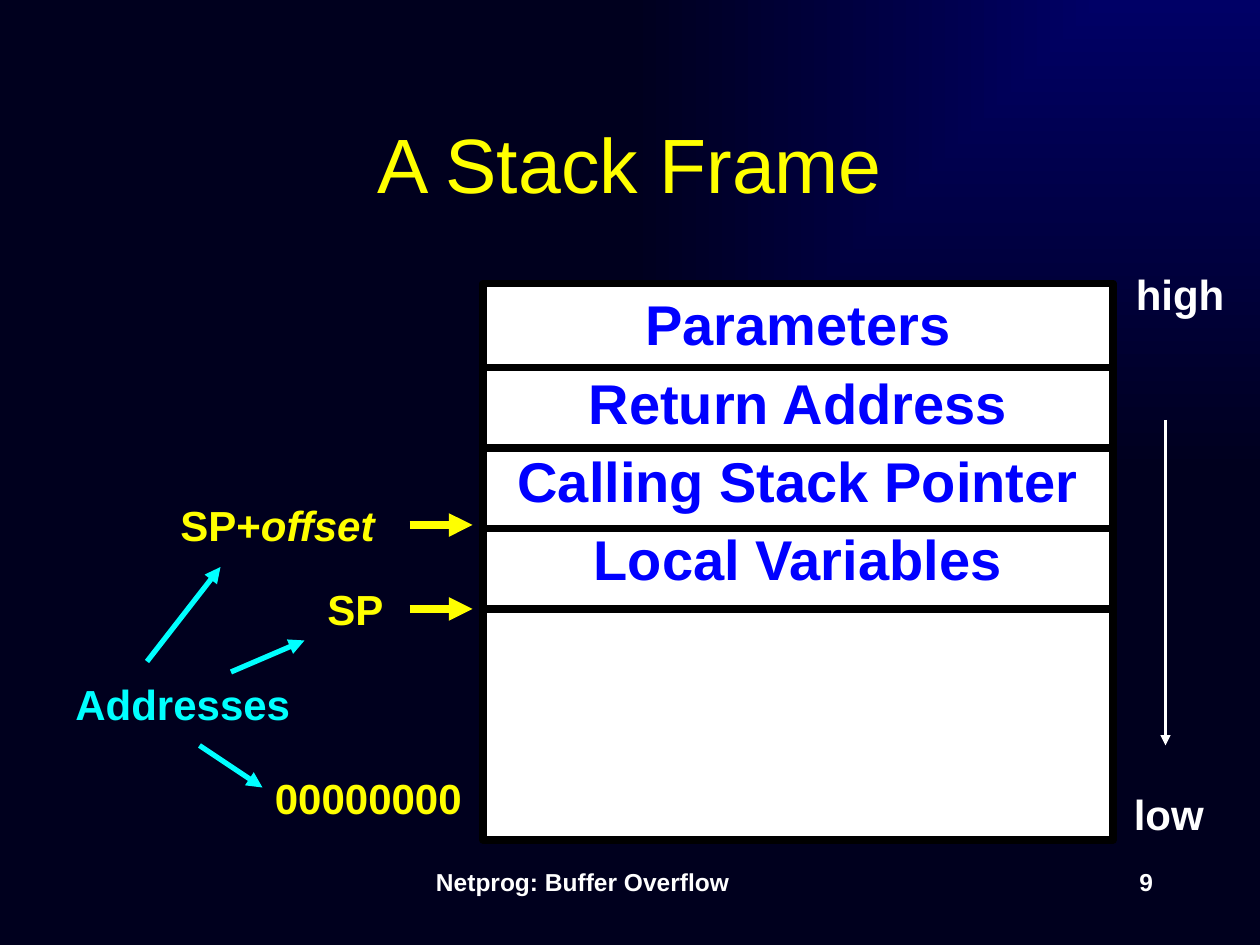
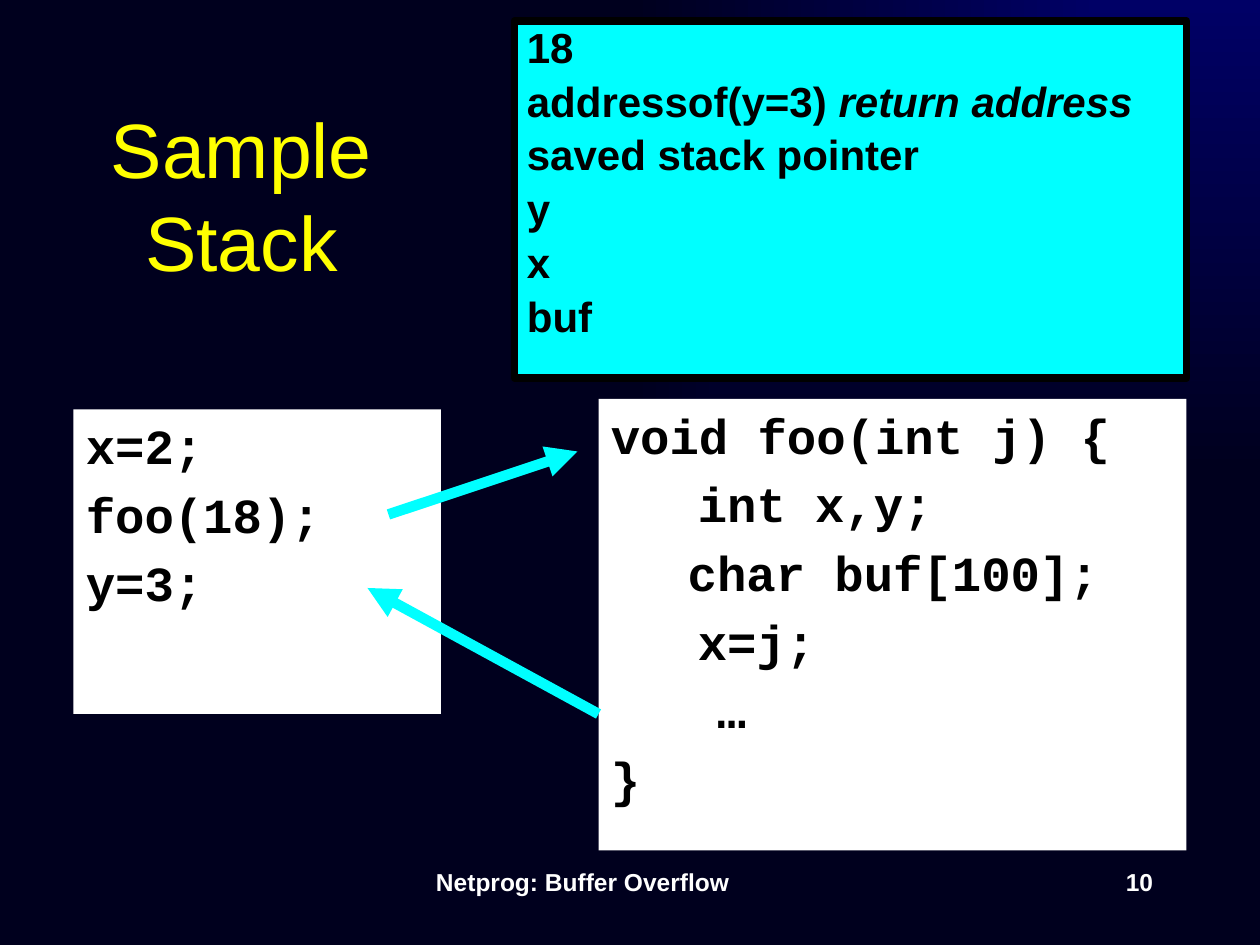
import pptx
import pptx.util
import pptx.dml.color
import pptx.enum.dml
import pptx.enum.shapes
import pptx.enum.text
import pptx.oxml
import pptx.oxml.ns
import lxml.etree

COLORS = {"glow": "000066", "night": "00001E", "white": "FFFFFF", "black": "000000",
          "yellow": "FFFF00", "cyan": "00FFFF", "blue": "0000FF"}
COLS, ROWS = 120, 90
CELL = pptx.util.Inches(10) / COLS
HANG = 0.38
CHAR = 0.23
ALIGN = pptx.enum.text.PP_ALIGN
ANCHOR = pptx.enum.text.MSO_ANCHOR

FOOTER = "Netprog: Buffer Overflow"
FOOTER_BOX, NUMBER_BOX = (25, 82, 61, 6), (86, 82, 25, 6)

FRAME_BOX = (46, 27, 60, 53)
FRAME_PARTS = ["Parameters", "Return Address", "Calling Stack Pointer", "Local Variables"]
FIRST_DIVIDER, LAST_DIVIDER = 35, 58
FRAME_LABELS = [
    ((25, 73, 20.2, 6), [("00000000", False)], "yellow"),
    ((6, 64, 22.9, 6), [("Addresses", False)], "cyan"),
    ((30, 55, 7.8, 6), [("SP", False)], "yellow"),
    ((16, 47, 21, 6), [("SP+", False), ("offset", True)], "yellow"),
    ((106.8, 74.5, 9.1, 6), [("low", False)], "white"),
    ((107, 25, 10.8, 6), [("high", False)], "white"),
]
FRAME_ARROWS = [
    ((39, 58), (45, 58), "yellow", 4.5),
    ((39, 50), (45, 50), "yellow", 4.5),
    ((22, 64), (29, 61), "cyan", 3),
    ((19, 71), (25, 75), "cyan", 3),
    ((14, 63), (21, 54), "cyan", 3),
    ((111, 40), (111, 71), "white", 1.5),
]

STACK_BOX = (49, 2, 64, 34)
STACK_ROWS = [[("18", False)],
              [("addressof(y=3) ", False), ("return address", True)],
              [("saved stack pointer", False)],
              [("y", False)], [("x", False)], [("buf", False)]]
CODE_BLOCKS = [
    ((7, 39, 35, 29), [("x=2;", 0), ("foo(18);", 0), ("y=3;", 0)]),
    ((57, 38, 56, 43), [("void foo(int j) {", 0), ("int x,y;", 3 * CHAR),
                        ("char buf[100];", HANG + CHAR), ("x=j;", 3 * CHAR),
                        ("…", HANG + 2 * CHAR), ("}", 0)]),
]
CALL_ARROWS = [((37, 49), (55, 43), "cyan", 6), ((57, 68), (35, 56), "cyan", 6)]


def rgb(name):
    return pptx.dml.color.RGBColor.from_string(COLORS[name])


def cells(*counts):
    return [round(n * CELL) for n in counts]


def child(parent, tag, **attrs):
    return lxml.etree.SubElement(parent, pptx.oxml.ns.qn(tag), attrs)


def add_runs(p, runs, size, color, bold=True, font="Arial"):
    for text, italic in runs:
        r = p.add_run()
        r.text = text
        r.font.name, r.font.size = font, pptx.util.Pt(size)
        r.font.bold, r.font.italic = bold, italic
        r.font.color.rgb = rgb(color)


def add_text(s, box, runs, size, color, align=ALIGN.LEFT, wrap=True):
    sp = s.shapes.add_textbox(*cells(*box))
    tf = sp.text_frame
    tf.word_wrap = wrap
    if not wrap:
        tf.auto_size = pptx.enum.text.MSO_AUTO_SIZE.SHAPE_TO_FIT_TEXT
    tf.paragraphs[0].alignment = align
    add_runs(tf.paragraphs[0], runs, size, color)


def add_title(s, box, lines):
    sp = s.shapes.add_textbox(*cells(*box))
    tf = sp.text_frame
    tf.word_wrap, tf.vertical_anchor = True, ANCHOR.MIDDLE
    p = tf.paragraphs[0]
    p.alignment = ALIGN.CENTER
    for i, line in enumerate(lines):
        if i:
            p.add_line_break()
        add_runs(p, [(line, False)], 44, "yellow", bold=False)


def add_panel(s, box, fill, outlined, paragraphs, size, color, font="Arial",
              align=ALIGN.LEFT, spacing=None):
    sp = s.shapes.add_shape(pptx.enum.shapes.MSO_SHAPE.RECTANGLE, *cells(*box))
    sp.shadow.inherit = False
    sp.fill.solid()
    sp.fill.fore_color.rgb = rgb(fill)
    if outlined:
        sp.line.color.rgb, sp.line.width = rgb("black"), pptx.util.Pt(4.5)
    else:
        sp.line.fill.background()
    tf = sp.text_frame
    tf.word_wrap, tf.vertical_anchor = True, ANCHOR.TOP
    for i, (runs, indent) in enumerate(paragraphs):
        p = tf.add_paragraph() if i else tf.paragraphs[0]
        p.alignment, p.line_spacing = align, spacing
        pPr = p._p.get_or_add_pPr()
        pPr.set("marL", str(pptx.util.Inches(indent or HANG)))
        pPr.set("indent", str(0 if indent else pptx.util.Inches(-HANG)))
        child(child(pPr, "a:spcBef"), "a:spcPct", val="20000")
        add_runs(p, runs, size, color, font=font)


def add_line(s, start, end, color, width, arrow=True):
    c = s.shapes.add_connector(pptx.enum.shapes.MSO_CONNECTOR.STRAIGHT, *cells(*start, *end))
    c.line.color.rgb, c.line.width = rgb(color), pptx.util.Pt(width)
    if arrow:
        child(c.line._get_or_add_ln(), "a:tailEnd", type="triangle")
    child(c._element.spPr, "a:effectLst")


def new_slide(prs, number):
    s = prs.slides.add_slide(prs.slide_layouts[6])
    fill = s.background.fill
    fill.gradient()
    for stop, position, name in zip(fill.gradient_stops, (0, 1), ("glow", "night")):
        stop.position, stop.color.rgb = position, rgb(name)
    lin = s._element.find(".//" + pptx.oxml.ns.qn("a:lin"))
    grad = lin.getparent()
    grad.remove(lin)
    child(child(grad, "a:path", path="rect"), "a:fillToRect", l="100000", b="100000")
    add_text(s, FOOTER_BOX, [(FOOTER, False)], 14, "white", ALIGN.CENTER)
    add_text(s, NUMBER_BOX, [(str(number), False)], 14, "white", ALIGN.RIGHT)
    return s


def stack_frame(prs):
    s = new_slide(prs, 9)
    add_title(s, (9, 8, 102, 15), ["A Stack Frame"])
    parts = [([(part, False)], 0) for part in FRAME_PARTS]
    add_panel(s, FRAME_BOX, "white", True, parts, 32, "blue", align=ALIGN.CENTER)
    left, _, width, _ = FRAME_BOX
    step = (LAST_DIVIDER - FIRST_DIVIDER) / (len(FRAME_PARTS) - 1)
    for i in range(len(FRAME_PARTS)):
        y = FIRST_DIVIDER + i * step
        add_line(s, (left, y), (left + width, y), "black", 4.5, arrow=False)
    for box, runs, color in FRAME_LABELS:
        add_text(s, box, runs, 24, color, wrap=False)
    for arrow in FRAME_ARROWS:
        add_line(s, *arrow)


def sample_stack(prs):
    s = new_slide(prs, 10)
    add_title(s, (4, 8, 38, 21), ["Sample", "Stack"])
    rows = [(runs, 0) for runs in STACK_ROWS]
    add_panel(s, STACK_BOX, "cyan", True, rows, 24, "black", spacing=0.9)
    for box, lines in CODE_BLOCKS:
        code = [([(text, False)], indent) for text, indent in lines]
        add_panel(s, box, "white", False, code, 28, "black", font="Courier New")
    for arrow in CALL_ARROWS:
        add_line(s, *arrow)


def main():
    """Build the two stack slides."""
    prs = pptx.Presentation()
    prs.slide_width, prs.slide_height = cells(COLS, ROWS)
    stack_frame(prs)
    sample_stack(prs)
    prs.save("out.pptx")


if __name__ == "__main__":
    main()
